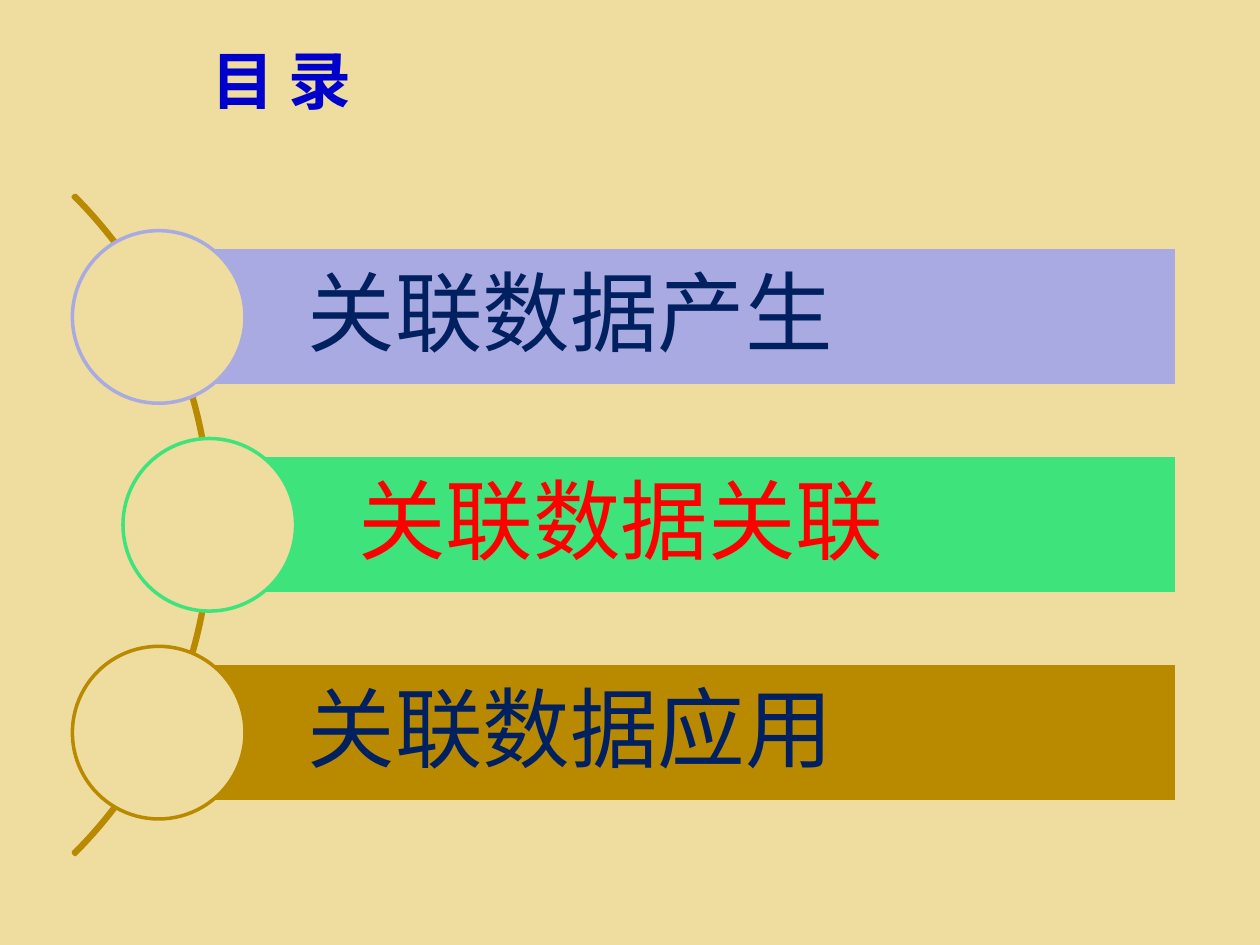
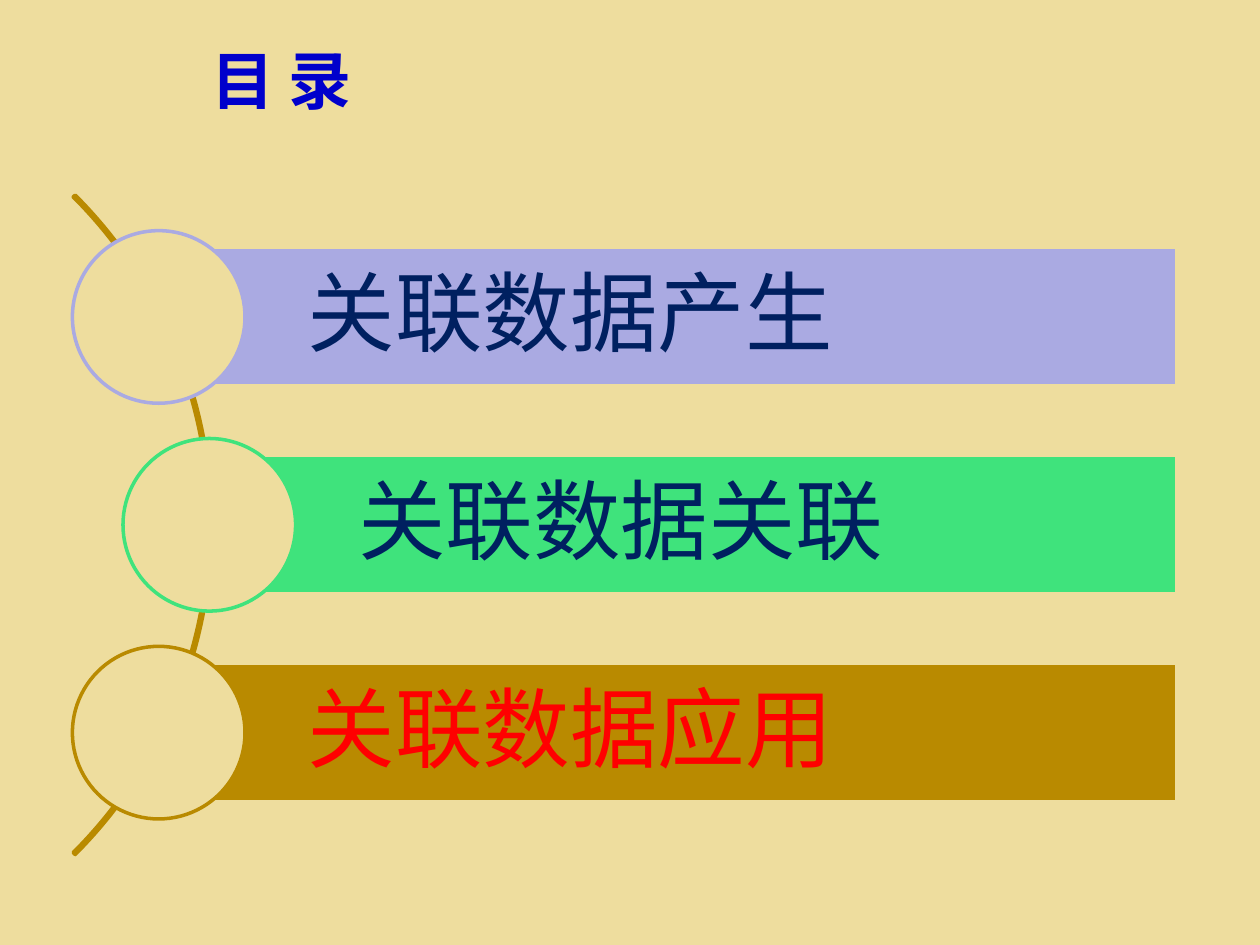
from pptx import Presentation
from pptx.dml.color import RGBColor
from pptx.enum.shapes import MSO_SHAPE as Preset
from pptx.enum.text import MSO_ANCHOR as Anchor, PP_ALIGN as Align
from pptx.util import Cm, Pt

# Content: each slide is the same agenda with one topic highlighted
TITLE = "目 录"
TOPICS = [  # text, colour, left edge of the bar in cm
    ("关联数据产生", "lavender", 3.2),
    ("关联数据关联", "green", 4.22),
    ("关联数据应用", "ochre", 3.2),
]
HIGHLIGHTED = ["关联数据关联", "关联数据应用"]

COLOURS = {
    "sand": "EEDD9E",
    "title": "0000CC",
    "text": "002060",
    "highlight": "FF0000",
    "lavender": "AAAAE2",
    "green": "3FE37C",
    "ochre": "B98A00",
}

# Layout in cm
SLIDE_WIDTH, SLIDE_HEIGHT = 25.4, 19.05
FIRST_MIDDLE, PITCH = 6.39, 4.19
BAR_RIGHT, BAR_HEIGHT = 23.72, 2.79
CIRCLE_SIZE = 3.48
ARC_RIGHT, ARC_SIZE = 4.27, 18.8
TEXT_INSET, MARGIN = 3.0, 0.36


def colour(name):
    return RGBColor.from_string(COLOURS[name])


def add_run(paragraph, text, font_name, size, colour_name, bold=False):
    run = paragraph.add_run()
    run.text = text
    run.font.name = font_name
    run.font.size = Pt(size)
    run.font.bold = bold
    run.font.color.rgb = colour(colour_name)


def add_preset(group, preset, left, middle, width, height, fill, line):
    """Add a flat shape centred vertically on middle."""
    shape = group.shapes.add_shape(
        preset, Cm(left), Cm(middle - height / 2), Cm(width), Cm(height))
    shape.shadow.inherit = False
    if fill:
        shape.fill.solid()
        shape.fill.fore_color.rgb = colour(fill)
    else:
        shape.fill.background()
    shape.line.color.rgb = colour(line)
    shape.line.width = Pt(2)
    return shape


def add_title(slide):
    box = slide.shapes.add_textbox(Cm(4.01), Cm(0.64), Cm(18.62), Cm(1.9))
    frame = box.text_frame
    frame.word_wrap = True
    frame.vertical_anchor = Anchor.MIDDLE
    add_run(frame.paragraphs[0], TITLE, "Arial", 36, "title", bold=True)


def add_arc(group):
    middle = FIRST_MIDDLE + PITCH * (len(TOPICS) - 1) / 2
    arc = add_preset(group, Preset.BLOCK_ARC, ARC_RIGHT - ARC_SIZE, middle,
                     ARC_SIZE, ARC_SIZE, None, "ochre")
    for index, value in enumerate((189, 27, 0.003)):
        arc.adjustments[index] = value


def add_topic(group, row, topic, text_colour):
    text, accent, left = topic
    middle = FIRST_MIDDLE + row * PITCH
    bar = add_preset(group, Preset.RECTANGLE, left, middle,
                     BAR_RIGHT - left, BAR_HEIGHT, accent, "sand")
    frame = bar.text_frame
    frame.word_wrap = True
    frame.vertical_anchor = Anchor.MIDDLE
    frame.margin_left = Cm(TEXT_INSET)
    frame.margin_top = frame.margin_right = frame.margin_bottom = Cm(MARGIN)
    paragraph = frame.paragraphs[0]
    paragraph.alignment = Align.LEFT
    paragraph.line_spacing = 0.9
    add_run(paragraph, text, "DejaVu Sans", 50, text_colour)

    # The circle sits on the left end of the bar
    add_preset(group, Preset.OVAL, left - CIRCLE_SIZE / 2, middle,
               CIRCLE_SIZE, CIRCLE_SIZE, "sand", accent)


def add_agenda(presentation, highlighted):
    slide = presentation.slides.add_slide(presentation.slide_layouts[6])
    add_title(slide)
    group = slide.shapes.add_group_shape()
    add_arc(group)
    for row, topic in enumerate(TOPICS):
        add_topic(group, row, topic,
                  "highlight" if topic[0] == highlighted else "text")


def main():
    presentation = Presentation()
    presentation.slide_width = Cm(SLIDE_WIDTH)
    presentation.slide_height = Cm(SLIDE_HEIGHT)

    # Shared background
    background = presentation.slide_master.background.fill
    background.solid()
    background.fore_color.rgb = colour("sand")

    for highlighted in HIGHLIGHTED:
        add_agenda(presentation, highlighted)
    presentation.save("out.pptx")


if __name__ == "__main__":
    main()
